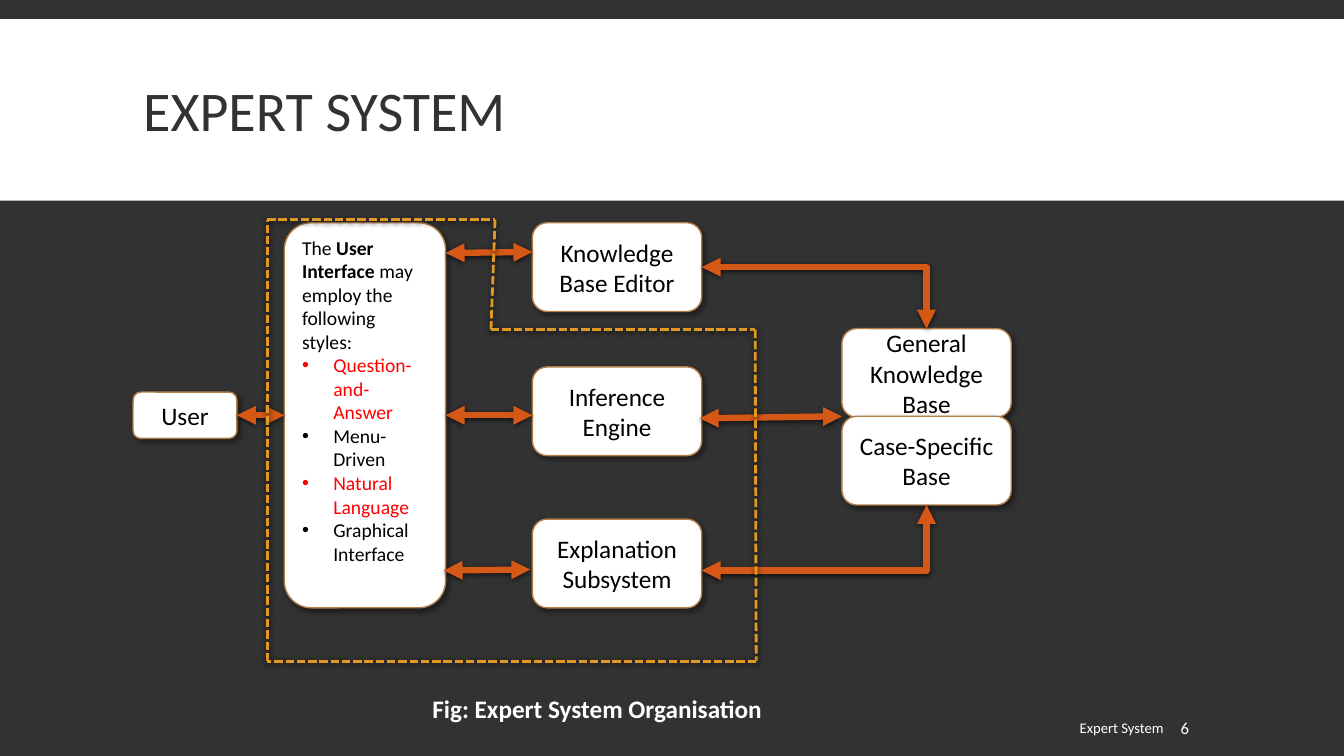
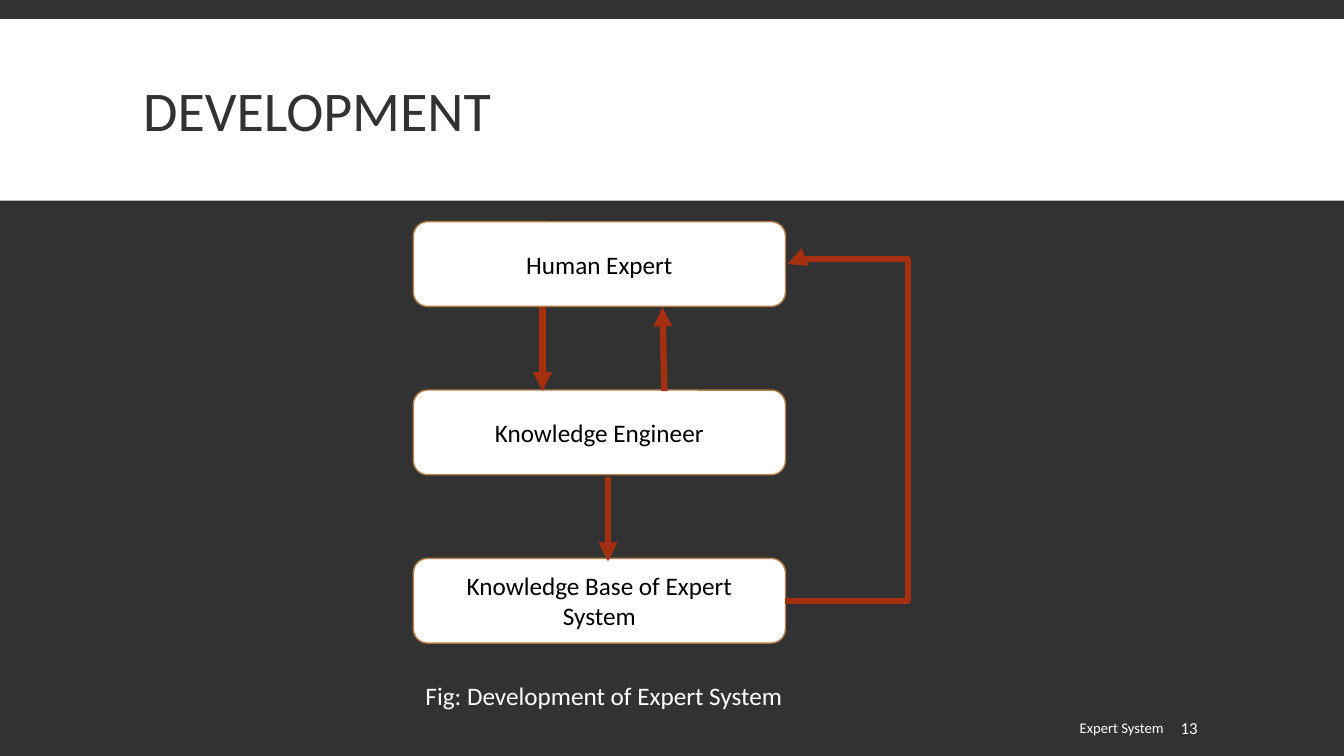
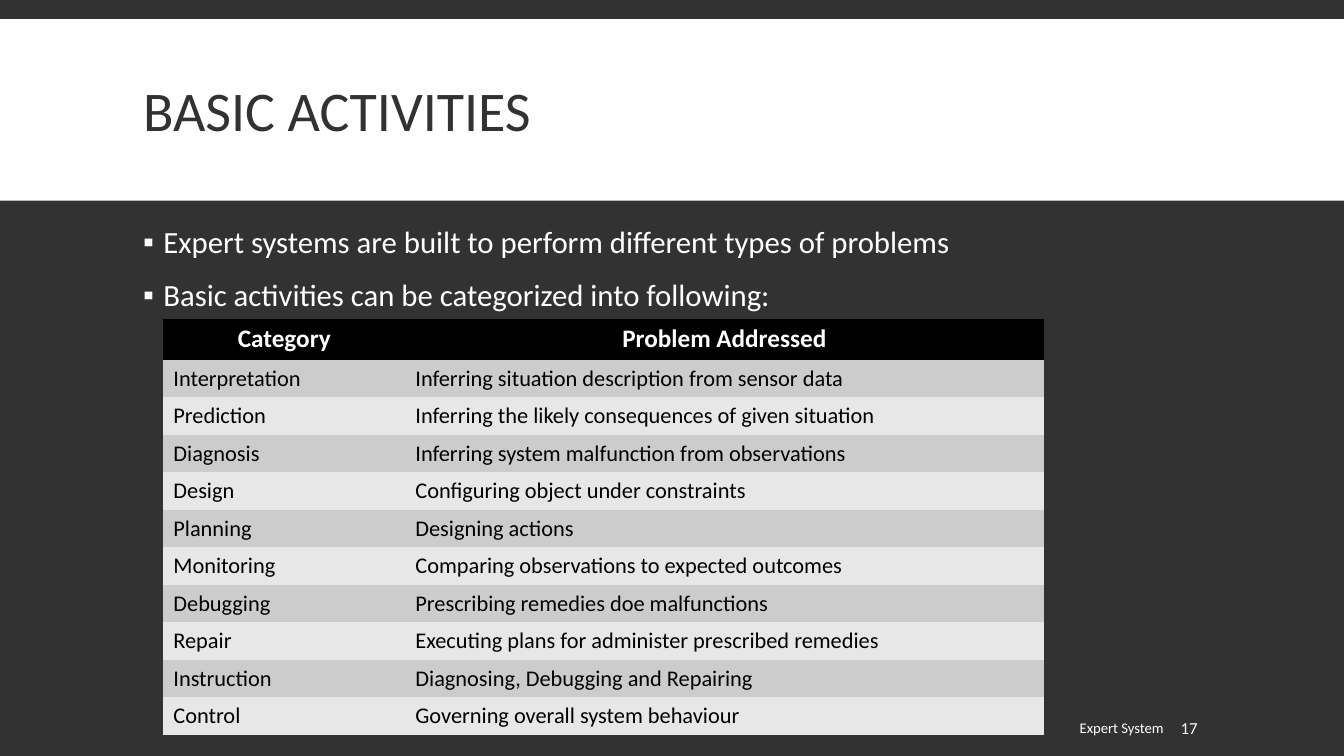
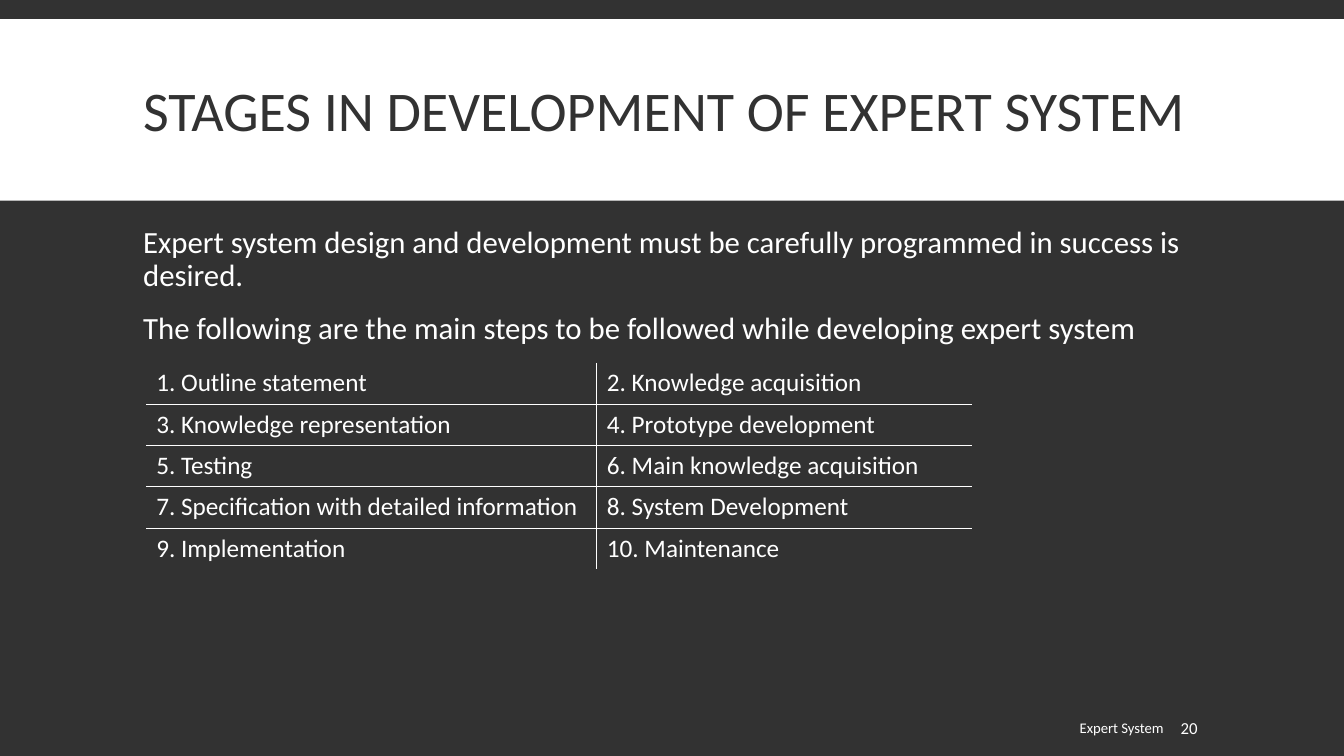
from itertools import pairwise
from lxml import etree
from pptx import Presentation
from pptx.dml.color import RGBColor
from pptx.enum import shapes, text
from pptx.oxml.ns import qn
from pptx.util import Pt

PX = 9144  # EMU in one px, 100 px to the inch
FONT = "Calibri"
COLORS = {
    "dark": "323232", "white": "FFFFFF", "black": "000000", "red": "FF0000",
    "edge": "B27D49", "orange": "D55816", "amber": "E19825", "rust": "A5300F",
    "odd": "CCCCCC", "even": "E7E7E7",
}
LEFT, CENTER, RIGHT = text.PP_ALIGN.LEFT, text.PP_ALIGN.CENTER, text.PP_ALIGN.RIGHT
TOP, MIDDLE = text.MSO_ANCHOR.TOP, text.MSO_ANCHOR.MIDDLE
NO_STYLE = "{2D5ABB26-0587-4C30-8999-92F81FD0307C}"
# Shadows: opacity %, blur pt, distance pt, angle
BOX_SHADOW = (40, 4, 3, 45)
LINE_SHADOW = (68, 4, 1.2, 90)

# Content: organisation of the system
STYLES_INTRO = [("The ", "black", False), ("User Interface ", "black", True),
                ("may employ the following styles:", "black", False)]
STYLES = [("Question-and-Answer", "red"), ("Menu-Driven", "black"),
          ("Natural Language", "red"), ("Graphical Interface", "black")]
PARTS = {
    "User": (132, 389, 103, 46),
    "Knowledge Base Editor": (528, 221, 168, 88),
    "Inference Engine": (528, 364, 168, 88),
    "Explanation Subsystem": (528, 515, 168, 88),
    "General Knowledge Base": (835, 326, 168, 88),
    "Case-Specific Base": (835, 413, 168, 88),
}
INTERFACE_AREA = (282, 221, 160, 382)
FREE_LINKS = [((440, 566), (526, 565)), ((442, 251), (528, 250)), ((694, 415), (835, 413))]
BENT_LINKS = [((696, 265), (919, 326)), ((696, 566), (919, 501))]
BOUNDARY = [(265, 656), (265, 218), (491, 218), (487, 327), (749, 327), (750, 656), (265, 656)]

# Content: development
ROLES = ["Human Expert", "Knowledge Engineer", "Knowledge Base of Expert System"]
ROLE_LINKS = [((538, 305), (538, 388)), ((603, 473), (603, 557)), ((659, 388), (657, 305))]

# Content: activities and stages
ACTIVITY_POINTS = ["Expert systems are built to perform different types of problems",
                   "Basic activities can be categorized into following:"]
ACTIVITIES = [
    ("Category", "Problem Addressed"),
    ("Interpretation", "Inferring situation description from sensor data"),
    ("Prediction", "Inferring the likely consequences of given situation"),
    ("Diagnosis", "Inferring system malfunction from observations"),
    ("Design", "Configuring object under constraints"),
    ("Planning", "Designing actions"),
    ("Monitoring", "Comparing observations to expected outcomes"),
    ("Debugging", "Prescribing remedies doe malfunctions"),
    ("Repair", "Executing plans for administer prescribed remedies"),
    ("Instruction", "Diagnosing, Debugging and Repairing"),
    ("Control", "Governing overall system behaviour"),
]
STAGE_POINTS = [
    "Expert system design and development must be carefully programmed in success is desired.",
    "The following are the main steps to be followed while developing expert system",
]
STAGES = ["Outline statement", "Knowledge acquisition", "Knowledge representation",
          "Prototype development", "Testing", "Main knowledge acquisition",
          "Specification with detailed information", "System Development",
          "Implementation", "Maintenance"]


def px(*lengths):
    return [round(length * PX) for length in lengths]


def color(name):
    return RGBColor.from_string(COLORS[name])


def child(parent, tag, **attributes):
    return etree.SubElement(parent, qn("a:" + tag), attributes)


# Text
def write(frame, paragraphs, size, ink="white", bold=False, align=LEFT, anchor=TOP):
    """A paragraph is a string or a list of (text, colour, bold)."""
    frame.word_wrap = True
    frame.auto_size = text.MSO_AUTO_SIZE.NONE
    frame.vertical_anchor = anchor
    for index, spans in enumerate(paragraphs):
        para = frame.paragraphs[0] if index == 0 else frame.add_paragraph()
        para.alignment = align
        for words, span_ink, span_bold in [(spans, ink, bold)] if isinstance(spans, str) else spans:
            span = para.add_run()
            span.text = words
            span.font.name, span.font.size, span.font.bold = FONT, Pt(size), span_bold
            span.font.color.rgb = color(span_ink)
    return frame.paragraphs


def set_bullet(para, mark, indent):
    props = para._p.get_or_add_pPr()
    props.set("marL", str(indent * PX))
    props.set("indent", str(-indent * PX))
    if mark:
        child(props, "buFont", typeface="Arial")
        child(props, "buChar", char=mark)
    else:
        child(props, "buNone")


def add_text(page, area, words, size, **style):
    box = page.shapes.add_textbox(*px(*area))
    write(box.text_frame, [words], size, **style)
    return box


# Shapes and lines
def set_shadow(item, shadow):
    effects = child(item.element.spPr, "effectLst")
    if shadow:
        opacity, blur, distance, angle = shadow
        outer = child(effects, "outerShdw", blurRad=str(Pt(blur)), dist=str(Pt(distance)),
                      dir=str(angle * 60000), algn="ctr", rotWithShape="0")
        child(child(outer, "srgbClr", val=COLORS["black"]), "alpha", val=str(opacity * 1000))


def add_box(page, area, paragraphs, size=18, shadow=None, align=CENTER, anchor=MIDDLE):
    box = page.shapes.add_shape(shapes.MSO_SHAPE.ROUNDED_RECTANGLE, *px(*area))
    box.fill.solid()
    box.fill.fore_color.rgb = color("white")
    box.line.color.rgb = color("edge")
    box.line.width = Pt(1)
    set_shadow(box, shadow)
    write(box.text_frame, paragraphs, size, "black", align=align, anchor=anchor)
    return box


def add_line(page, start, end, ink, width=4.5, heads=(), dash=None, shadow=None,
             bend=None, adjust=()):
    kind = shapes.MSO_CONNECTOR.ELBOW if bend else shapes.MSO_CONNECTOR.STRAIGHT
    line = page.shapes.add_connector(kind, *px(*start, *end))
    line.line.color.rgb = color(ink)
    line.line.width = Pt(width)
    outline = line.element.spPr.find(qn("a:ln"))
    if dash:
        child(outline, "prstDash", val=dash)
    for head in heads:
        child(outline, head, type="triangle")
    if bend:
        geometry = line.element.spPr.find(qn("a:prstGeom"))
        geometry.set("prst", bend)
        guides = geometry.find(qn("a:avLst"))
        if guides is None:
            guides = child(geometry, "avLst")
        for number, value in enumerate(adjust, 1):
            child(guides, "gd", name=f"adj{number}", fmla=f"val {value}")
    set_shadow(line, shadow)
    return line


# Tables
def add_grid(page, left, top, widths, heights):
    frame = page.shapes.add_table(len(heights), len(widths),
                                  *px(left, top, sum(widths), sum(heights)))
    table = frame.table
    table.first_row = table.horz_banding = False
    for style in frame.element.iter(qn("a:tableStyleId")):
        style.text = NO_STYLE
    for column, width in zip(table.columns, widths):
        column.width = width * PX
    for row, height in zip(table.rows, heights):
        row.height = height * PX
    return table


def add_borders(cell, sides):
    props = cell._tc.get_or_add_tcPr()
    for side, shown in sides:
        if shown:
            border = child(props, "ln" + side, w=str(Pt(1)))
            child(child(border, "solidFill"), "srgbClr", val=COLORS["white"])


# What all slides share
def set_master(deck, page):
    master = deck.slide_master
    master.background.fill.solid()
    master.background.fill.fore_color.rgb = color("dark")
    band = page.shapes.add_shape(shapes.MSO_SHAPE.RECTANGLE, *px(0, 19, 1333, 180))
    band.fill.solid()
    band.fill.fore_color.rgb = color("white")
    band.line.fill.background()
    band.shadow.inherit = False
    master.shapes.element.insert(2, band.element)


def place(box, area):
    box.left, box.top, box.width, box.height = px(*area)


def add_page(deck, title, number, points=(), mark=None):
    page = deck.slides.add_slide(deck.slide_layouts[1 if points else 5])
    place(page.shapes.title, (132, 31, 1070, 165))
    heading = write(page.shapes.title.text_frame, [title], 40, "dark", anchor=MIDDLE)
    heading[0].line_spacing = 0.85
    if points:
        body = page.placeholders[1]
        place(body, (132, 220, 1070, 460))
        for para in write(body.text_frame, points, 22):
            para.line_spacing = 0.9
            para.space_before, para.space_after = Pt(12), Pt(2)
            set_bullet(para, mark, 20 if mark else 0)
    add_text(page, (612, 702, 552, 40), "Expert System", 10.5, align=RIGHT, anchor=MIDDLE)
    label = add_text(page, (1166, 702, 103, 40), str(number), 12, anchor=MIDDLE)
    label.text_frame.margin_left = 5 * PX
    return page


# Slides
def build_organisation(page):
    boxes = {name: add_box(page, area, [name], shadow=BOX_SHADOW) for name, area in PARTS.items()}
    styles = [[(words, ink, False)] for words, ink in STYLES]
    interface = add_box(page, INTERFACE_AREA, [STYLES_INTRO] + styles, 14, BOX_SHADOW, LEFT, TOP)
    for para in interface.text_frame.paragraphs[1:]:
        set_bullet(para, "•", 31)

    link = {"ink": "orange", "heads": ("headEnd", "tailEnd"), "shadow": LINE_SHADOW}
    user_link = add_line(page, (235, 412), (282, 412), **link)
    user_link.begin_connect(boxes["User"], 3)
    user_link.end_connect(interface, 1)
    engine_link = add_line(page, (442, 412), (528, 412), **link)
    engine_link.begin_connect(interface, 3)
    for start, end in FREE_LINKS:
        add_line(page, start, end, **link)
    for start, end in BENT_LINKS:
        add_line(page, start, end, bend="bentConnector2", **link)
    for start, end in pairwise(BOUNDARY):
        add_line(page, start, end, "amber", 2, dash="sysDash", shadow=LINE_SHADOW)
    add_text(page, (419, 683, 385, 40), "Fig: Expert System Organisation", 18, bold=True)


def build_development(page):
    for index, role in enumerate(ROLES):
        add_box(page, (410, 220 + 167 * index, 369, 84), [role])
    link = {"ink": "rust", "heads": ("tailEnd",)}
    for start, end in ROLE_LINKS:
        add_line(page, start, end, **link)
    add_line(page, (779, 596), (781, 262), bend="bentConnector4", adjust=(6050000, 101600), **link)
    add_text(page, (343, 670, 512, 40), "Fig: Development of Expert System", 18, align=CENTER)


def build_activities(page):
    heights = [41] + [37] * (len(ACTIVITIES) - 1)
    table = add_grid(page, 162, 316, (240, 633), heights)
    for row, entry in enumerate(ACTIVITIES):
        header = row == 0
        shade = "black" if header else "odd" if row % 2 else "even"
        for column, words in enumerate(entry):
            cell = table.cell(row, column)
            cell.fill.solid()
            cell.fill.fore_color.rgb = color(shade)
            cell.vertical_anchor = MIDDLE
            write(cell.text_frame, [words], 18 if header else 16, "white" if header else "black",
                  header, CENTER if header else LEFT, MIDDLE)


def build_stages(page):
    widths = (447, 372)
    rows = len(STAGES) // len(widths)
    table = add_grid(page, 145, 360, widths, [41] * rows)
    for index, stage in enumerate(STAGES):
        row, column = divmod(index, len(widths))
        cell = table.cell(row, column)
        write(cell.text_frame, [f"{index + 1}. {stage}"], 18)
        add_borders(cell, [("L", column > 0), ("R", column < len(widths) - 1),
                           ("T", row > 0), ("B", row < rows - 1)])
        cell.fill.background()


def main():
    deck = Presentation()
    deck.slide_width, deck.slide_height = px(1333, 750)
    organisation = add_page(deck, "EXPERT SYSTEM", 6)
    set_master(deck, organisation)
    build_organisation(organisation)
    build_development(add_page(deck, "DEVELOPMENT", 13))
    build_activities(add_page(deck, "BASIC ACTIVITIES", 17, ACTIVITY_POINTS, "▪"))
    build_stages(add_page(deck, "STAGES IN DEVELOPMENT OF EXPERT SYSTEM", 20, STAGE_POINTS))
    deck.save("out.pptx")


if __name__ == "__main__":
    main()
